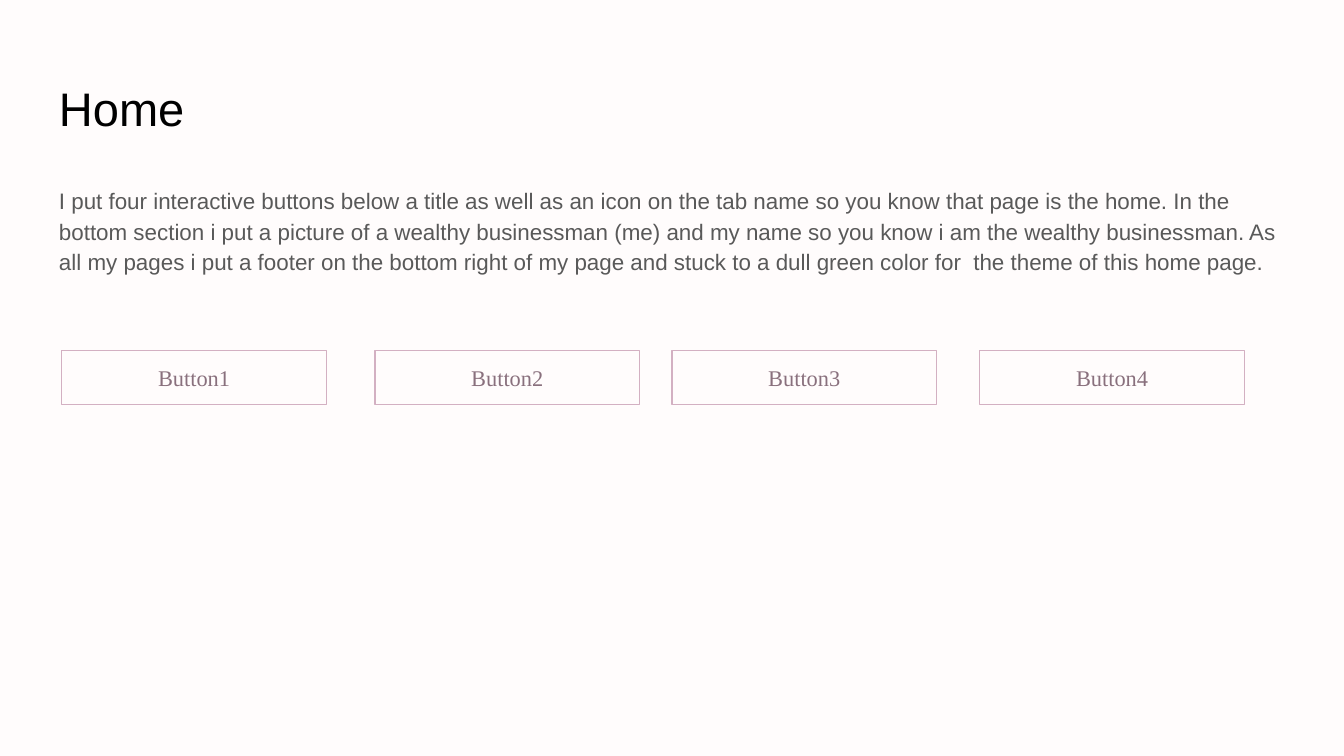
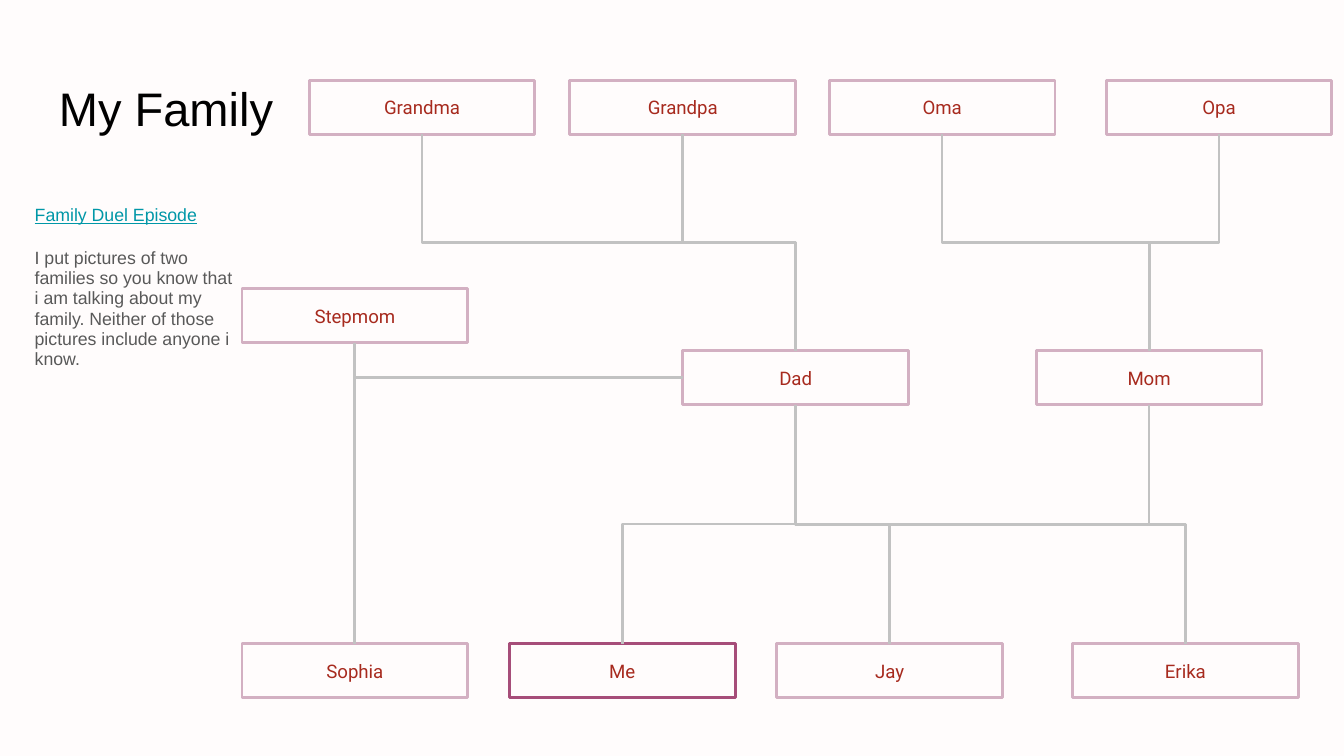
import pptx
import pptx.util
import pptx.dml.color
import pptx.enum.shapes
import pptx.enum.text
import pptx.oxml.ns
import lxml.etree

Inches = pptx.util.Inches
ANCHOR = pptx.enum.text.MSO_ANCHOR
ALIGN = pptx.enum.text.PP_ALIGN

# Shared style
SLIDE_W = Inches(10)
SLIDE_H = SLIDE_W * 9 // 16
BACKGROUND, BLACK, GREY, TEAL = "FFFCFC", "000000", "595959", "0097A7"
PINK, PLUM, MAUVE, RED, LINE = "D3B0C2", "A64D79", "89707D", "A72A1E", "C2C2C2"
BOX_H = 0.4

# Home content
HOME_TEXT = (
    "I put four interactive buttons below a title as well as an icon on the tab "
    "name so you know that page is the home. In the bottom section i put a picture "
    "of a wealthy businessman (me) and my name so you know i am the wealthy "
    "businessman. As all my pages i put a footer on the bottom right of my page and "
    "stuck to a dull green color for  the theme of this home page."
)
BUTTON_Y, BUTTON_W = 2.61, 1.97
BUTTONS = [("Button1", 0.46), ("Button2", 2.79), ("Button3", 5), ("Button4", 7.29)]

# Family content: each row of the tree is a top and its people with their lefts
EPISODE = "Family Duel Episode"
FAMILY_TEXT = (
    "I put pictures of two families so you know that i am talking about my family. "
    "Neither of those pictures include anyone i know."
)
PERSON_W = 1.68
GENERATIONS = [
    (0.6, [("Grandma", 2.3), ("Grandpa", 4.24), ("Oma", 6.17), ("Opa", 8.23)]),
    (2.15, [("Stepmom", 1.8)]),
    (2.61, [("Dad", 5.08), ("Mom", 7.71)]),
    (4.79, [("Sophia", 1.8), ("Me", 3.79), ("Jay", 5.78), ("Erika", 7.98)]),
]
CHILDREN = {
    "Grandma": ["Dad"],
    "Grandpa": ["Dad"],
    "Oma": ["Mom"],
    "Opa": ["Mom"],
    "Stepmom": ["Sophia"],
    "Dad": ["Me", "Jay", "Erika"],
    "Mom": ["Erika"],
}
TOP, LEFT, BOTTOM = 0, 1, 2  # connection sites of a rectangle


def rgb(color):
    return pptx.dml.color.RGBColor.from_string(color)


def write(sp, text, size=12, font="Arial", color=GREY, align=ALIGN.LEFT,
          anchor=ANCHOR.TOP, spacing=None, before=0, underline=None, more=False):
    """Fill a shape's first paragraph, or append one when more is set."""
    tf = sp.text_frame
    tf.word_wrap = True
    tf.vertical_anchor = anchor
    tf.margin_left = tf.margin_right = tf.margin_top = tf.margin_bottom = Inches(0.1)
    p = tf.add_paragraph() if more else tf.paragraphs[0]
    p.alignment = align
    p.line_spacing = spacing
    p.space_before = pptx.util.Pt(before)
    r = p.add_run()
    r.text = text
    r.font.size = pptx.util.Pt(size)
    r.font.name = font
    r.font.underline = underline
    r.font.color.rgb = rgb(color)


def text_box(s, x, y, w, h):
    return s.shapes.add_textbox(Inches(x), Inches(y), Inches(w), Inches(h))


def titled_slide(prs, title):
    s = prs.slides.add_slide(prs.slide_layouts[6])
    s.background.fill.solid()
    s.background.fill.fore_color.rgb = rgb(BACKGROUND)
    write(text_box(s, 0.34, 0.49, 9.32, 0.63), title, size=25.2, color=BLACK)
    return s


def outlined_box(s, x, y, w, text, line=PINK, weight=1.5, **style):
    sp = s.shapes.add_shape(pptx.enum.shapes.MSO_SHAPE.RECTANGLE,
                            Inches(x), Inches(y), Inches(w), Inches(BOX_H))
    sp.shadow.inherit = False
    sp.fill.background()
    sp.line.color.rgb = rgb(line)
    sp.line.width = pptx.util.Pt(weight)
    write(sp, text, align=ALIGN.CENTER, **style)
    return sp


def site_point(sp, site):
    return {
        TOP: (sp.left + sp.width // 2, sp.top),
        LEFT: (sp.left, sp.top + sp.height // 2),
        BOTTOM: (sp.left + sp.width // 2, sp.top + sp.height),
    }[site]


def elbow(s, start, start_site, end, end_site, bends=2):
    """Join two boxes by a line that leaves the first one vertically."""
    c = s.shapes.add_connector(pptx.enum.shapes.MSO_CONNECTOR.ELBOW, 0, 0, 0, 0)
    c.begin_connect(start, start_site)
    c.end_connect(end, end_site)
    (x1, y1), (x2, y2) = site_point(start, start_site), site_point(end, end_site)
    # The elbow is turned a quarter, so its frame swaps width and height
    c.width, c.height = abs(y2 - y1), abs(x2 - x1)
    c.left = (x1 + x2 - c.width) // 2
    c.top = (y1 + y2 - c.height) // 2
    downward = y2 > y1
    c.rotation = 90 if downward else 270
    spPr = c._element.spPr
    spPr.xfrm.flipH = False
    spPr.xfrm.flipV = (x2 > x1) == downward
    spPr.find(pptx.oxml.ns.qn("a:prstGeom")).set("prst", f"bentConnector{bends + 1}")
    c.line.color.rgb = rgb(LINE)
    c.line.width = pptx.util.Pt(1.5)
    lxml.etree.SubElement(spPr, pptx.oxml.ns.qn("a:effectLst"))


def home_slide(prs):
    s = titled_slide(prs, "Home")
    write(text_box(s, 0.34, 1.26, 9.32, 3.74), HOME_TEXT, spacing=1.15)
    for name, x in BUTTONS:
        outlined_box(s, x, BUTTON_Y, BUTTON_W, name, weight=0.75,
                     font="Times New Roman", color=MAUVE)


def family_slide(prs):
    s = titled_slide(prs, "My Family")
    note = text_box(s, 0.16, 1.43, 1.68, 0.29)
    write(note, EPISODE, size=9.5, color=TEAL, spacing=0.95, underline=True)
    write(note, FAMILY_TEXT, size=9.5, spacing=0.95, before=12, more=True)

    # People
    boxes = {}
    for y, people in GENERATIONS:
        for name, x in people:
            boxes[name] = outlined_box(
                s, x, y, PERSON_W, name, line=PLUM if name == "Me" else PINK,
                size=10, font="Roboto", color=RED, anchor=ANCHOR.MIDDLE)

    # Family lines
    for parent, children in CHILDREN.items():
        for child in children:
            elbow(s, boxes[parent], BOTTOM, boxes[child], TOP)
    elbow(s, boxes["Sophia"], TOP, boxes["Dad"], LEFT, bends=1)


def main():
    prs = pptx.Presentation()
    prs.slide_width, prs.slide_height = SLIDE_W, SLIDE_H
    home_slide(prs)
    family_slide(prs)
    prs.save("out.pptx")


if __name__ == "__main__":
    main()
